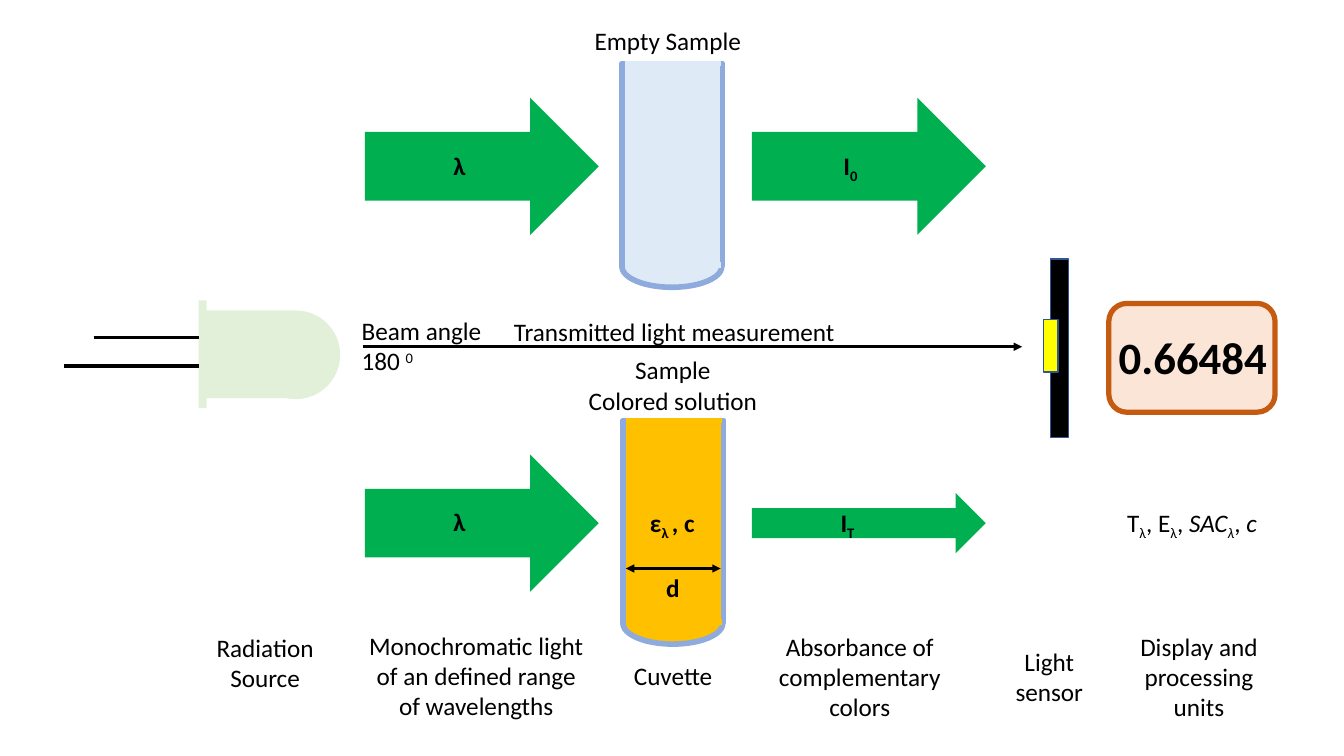
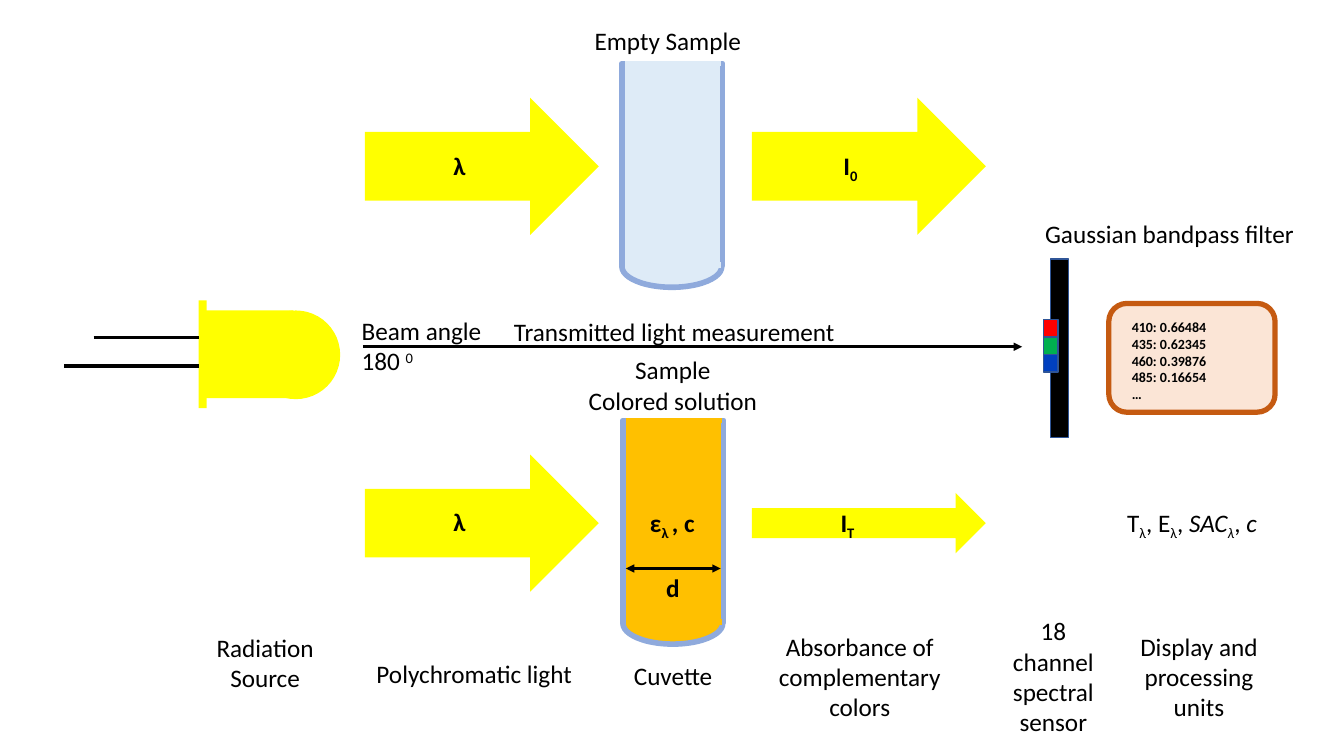
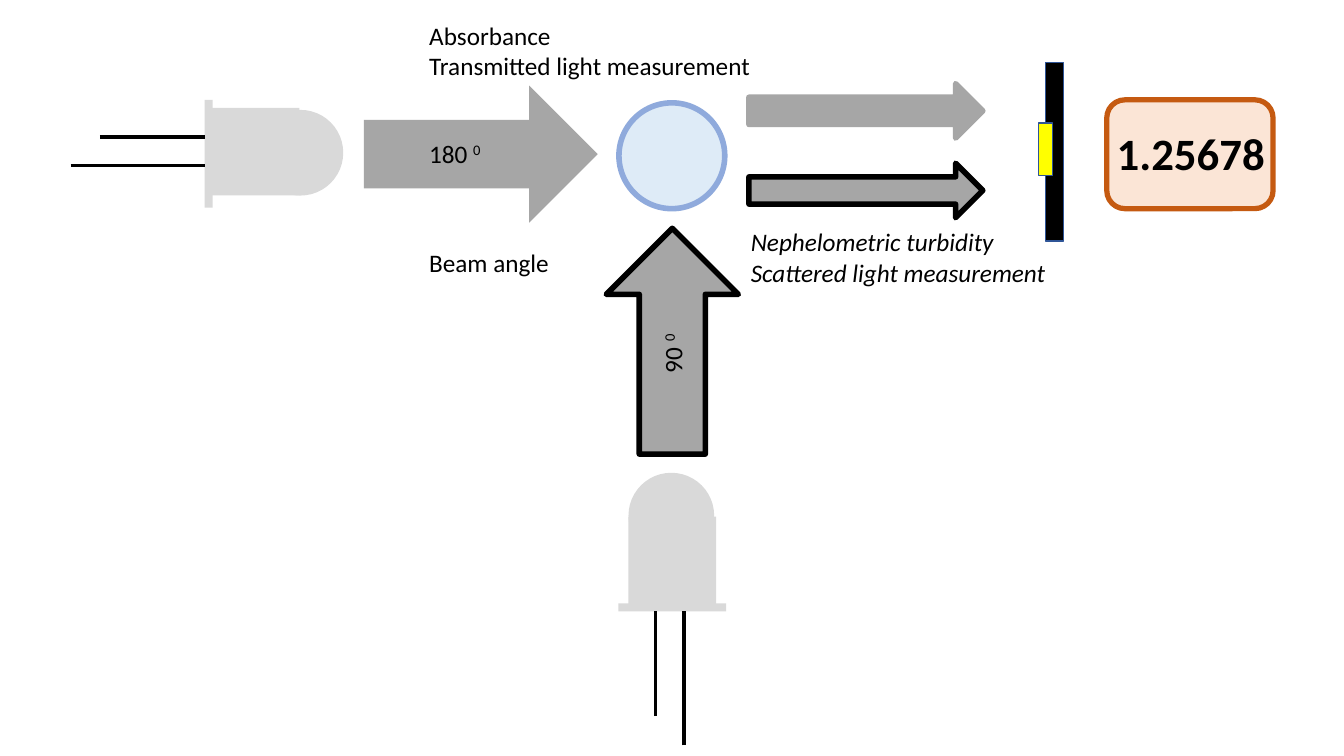
import copy

import lxml.etree
import pptx
import pptx.dml.color
import pptx.enum.shapes
import pptx.enum.text
import pptx.oxml.ns
import pptx.util

# Grid: square cells, ten to the inch; every length below counts columns or rows
CELL = pptx.util.Inches(0.1)
COLUMNS, ROWS = 400 / 3, 75

# Shared style
FONT = "Calibri"
BLACK, YELLOW, GREEN, GREY = "000000", "FFFF00", "00B050", "A6A6A6"
GLASS, EMPTY, SOLUTION = "8FAADC", "DEEBF7", "FFC000"
SENSOR_EDGE, SCREEN, SCREEN_EDGE = "2F5597", "FBE5D6", "C55A11"
THICK = 4

KIND = pptx.enum.shapes.MSO_SHAPE
ALIGN = pptx.enum.text.PP_ALIGN
SUB, SUPER = {"baseline": -25}, {"baseline": 30}
ITALIC = {"italic": True}


def grid(*lengths):
    return [round(length * CELL) for length in lengths]


def paint(target, color):
    """Give a fill or a font the colour of a hex string."""
    if hasattr(target, "solid"):
        target.solid()
        target = target.fore_color
    else:
        target = target.color
    target.rgb = pptx.dml.color.RGBColor.from_string(color)


def add_span(para, text, size=18, bold=False, italic=False, baseline=0):
    span = para.add_run()
    span.text = text
    font = span.font
    font.name, font.size = FONT, pptx.util.Pt(size)
    font.bold, font.italic = bold, italic
    paint(font, BLACK)
    if baseline:
        font._element.set("baseline", str(baseline * 1000))
    return span


def write(frame, paragraphs, align=ALIGN.LEFT, **style):
    """Each paragraph is a string or a list of (text, format) spans."""
    for index, content in enumerate(paragraphs):
        para = frame.paragraphs[0] if index == 0 else frame.add_paragraph()
        para.alignment = align
        spans = [(content, {})] if isinstance(content, str) else content
        for text, extra in spans:
            for number, piece in enumerate(text.split("\n")):
                if number:
                    para.add_line_break()
                    para._p[-1].append(copy.deepcopy(span._r.rPr))
                span = add_span(para, piece, **{**style, **extra})


class Diagram:
    def __init__(self):
        self.deck = pptx.Presentation()
        self.deck.slide_width, self.deck.slide_height = grid(COLUMNS, ROWS)

    def new_page(self):
        self.page = self.deck.slides.add_slide(self.deck.slide_layouts[6])

    def group(self):
        return self.page.shapes.add_group_shape().shapes

    # Basic elements
    def shape(self, kind, at, fill, edge=None, width=THICK, turn=0, into=None):
        box = (into or self.page.shapes).add_shape(kind, *grid(*at))
        box.shadow.inherit = False
        box.rotation = turn
        paint(box.fill, fill)
        if edge:
            paint(box.line.fill, edge)
            box.line.width = pptx.util.Pt(width)
        else:
            box.line.fill.background()

    def line(self, start, end, color=BLACK, width=THICK, heads=(), into=None):
        line = (into or self.page.shapes).add_connector(
            pptx.enum.shapes.MSO_CONNECTOR.STRAIGHT, *grid(*start, *end))
        paint(line.line.fill, color)
        line.line.width = pptx.util.Pt(width)
        properties = line._element.spPr
        name = pptx.oxml.ns.qn
        for head in heads:
            lxml.etree.SubElement(properties.find(name("a:ln")), name(head), type="triangle")
        lxml.etree.SubElement(properties, name("a:effectLst"))

    def text(self, at, *paragraphs, wrap=True, turn=0, into=None, **style):
        box = (into or self.page.shapes).add_textbox(*grid(*at))
        box.rotation = turn
        frame = box.text_frame
        frame.word_wrap = wrap
        frame.auto_size = pptx.enum.text.MSO_AUTO_SIZE.SHAPE_TO_FIT_TEXT
        write(frame, paragraphs, **style)

    def caption(self, at, *paragraphs):
        self.text(at, *paragraphs, align=ALIGN.CENTER)

    def arrow(self, at, fill, edge=None, turn=0):
        self.shape(KIND.RIGHT_ARROW, at, fill, edge, turn=turn)

    # Parts of the instrument
    def lamp(self, x, y, color, dome=8.8, body_shift=1, up=False):
        """Lamp whose flange starts at x, y (lower left if it points up)."""
        parts = self.group()

        def point(along, across):
            return (x + across, y - along) if up else (x + along, y + across)

        def part(kind, along, across, width, height):
            middle_x, middle_y = point(along + width / 2, across + height / 2)
            at = (middle_x - width / 2, middle_y - height / 2, width, height)
            self.shape(kind, at, color, turn=270 if up else 0, into=parts)

        part(KIND.FLOWCHART_CONNECTOR, 5.25, 1, dome, dome)
        part(KIND.RECTANGLE, 0.6, body_shift, 8.8, 8.7)
        part(KIND.RECTANGLE, 0, 0, 0.8, 10.7)
        for length, across in ((10.4, 3.7), (13.3, 6.5)):
            self.line(point(-length, across), point(0, across), width=2.5, into=parts)

    def cuvette(self, x, y, color):
        parts = self.group()
        self.shape(KIND.FLOWCHART_CONNECTOR, (x, y + 18.1, 9.9, 4.1), color, GLASS, into=parts)
        self.shape(KIND.RECTANGLE, (x, y, 10, 20), color, GLASS, into=parts)
        for edge in (y + 20, y):
            self.line((x + 0.35, edge), (x + 9.8, edge), color, into=parts)
        return parts

    def sensor(self, x, y, *colors):
        parts = self.group()
        self.shape(KIND.RECTANGLE, (x, y, 1.8, 17.7), BLACK, SENSOR_EDGE, 1, into=parts)
        height = 5.2 / len(colors)
        for index, color in enumerate(colors):
            at = (x - 0.65, y + 6 + index * height, 1.4, height)
            self.shape(KIND.RECTANGLE, at, color, SENSOR_EDGE, 1, into=parts)

    def display(self, x, y, readings, size=32, inset=(0, 2.1)):
        parts = self.group()
        self.shape(KIND.ROUNDED_RECTANGLE, (x, y, 16.5, 10.8), SCREEN, SCREEN_EDGE, 3.75,
                   into=parts)
        at = (x + inset[0], y + inset[1], 18.4, 10.8 - 2 * inset[1])
        self.text(at, *readings, size=size, bold=True, into=parts)


def transmission_page(diagram, beam, lamp):
    """The parts that both transmitted light slides have."""
    diagram.new_page()

    # Beams before and after each cuvette
    for at in ((36.2, 45.1, 23.2, 13.6), (74.6, 48.9, 23.2, 6),
               (36.2, 9.7, 23.2, 13.6), (74.6, 9.7, 23.2, 13.6)):
        diagram.arrow(at, beam)
    for y in (14.4, 49.7):
        diagram.text((44, y, 3.2, 4), "λ", wrap=False, bold=True)
    diagram.text((82.7, 14.4, 3.6, 4), [("I", {}), ("0", SUB)], bold=True)
    diagram.text((82.4, 49.8, 4.2, 4), [("I", {}), ("T", SUB)], bold=True)

    # Lamp and cuvettes
    diagram.lamp(19.7, 29.8, lamp)
    sample = diagram.cuvette(61.8, 41.7, SOLUTION)
    diagram.text((65.1, 56.3, 3.4, 4), "d", bold=True, into=sample)
    diagram.line((62.1, 56.4), (71.5, 56.4), width=1.5,
                 heads=("a:headEnd", "a:tailEnd"), into=sample)
    diagram.text((63.5, 49.8, 7.2, 4), [("ε", {}), ("λ ", SUB), (", c", {})],
                 bold=True, into=sample)
    diagram.cuvette(61.7, 6.3, EMPTY)

    # Light path
    diagram.line((36, 34.4), (101.4, 34.4), width=1.75, heads=("a:tailEnd",))
    diagram.text((34.9, 30.8, 14, 7.1), "Beam angle", [("180 ", {}), ("0", SUPER)], wrap=False)
    diagram.text((50, 30.9, 35.6, 4), "Transmitted light measurement", wrap=False)

    # Captions
    diagram.text((58, 2, 18.9, 4), "Empty Sample")
    diagram.caption((57.3, 34.7, 18.9, 7.1), "Sample", "Colored solution")
    diagram.caption((20.4, 62.2, 11.8, 7.1), "Radiation", "Source")
    diagram.text((61.9, 65, 11.3, 4), "Cuvette")
    diagram.caption((75.8, 62.1, 19, 10.1), "Absorbance of\ncomplementary", "colors")
    diagram.caption((111.3, 62.1, 15.3, 10.1), "Display and processing\nunits")
    diagram.caption((110.6, 49.8, 15.3, 4),
                    [("T", {}), ("λ", SUB), (", E", {}), ("λ", SUB), (", ", {}),
                     ("SAC", ITALIC), ("λ", {**SUB, **ITALIC}), (", ", {}), ("c", ITALIC)])


def monochromatic_page(diagram):
    transmission_page(diagram, GREEN, "E2F0D9")
    diagram.sensor(104.2, 25.7, YELLOW)
    diagram.display(110, 30.1, ["0.66484"])
    diagram.caption((35.1, 62, 24.3, 10.1),
                    "Monochromatic light of an defined range of wavelengths")
    diagram.caption((98.2, 63.6, 11.8, 7.1), "Light\nsensor")


def polychromatic_page(diagram):
    transmission_page(diagram, YELLOW, YELLOW)
    diagram.sensor(104.2, 25.7, "FF0000", GREEN, "0040C0")
    diagram.display(110, 30.1,
                    ["410: 0.66484", "435: 0.62345", "460: 0.39876", "485: 0.16654\n…"],
                    size=10, inset=(1.3, 1))
    diagram.caption((34.9, 64.8, 24.3, 4), "Polychromatic light")
    diagram.caption((98.6, 60.6, 11.8, 13.1), "18 channel", "spectral\nsensor")
    diagram.text((102.7, 21.2, 27, 4), "Gaussian bandpass filter", wrap=False)


def scattering_page(diagram):
    diagram.new_page()

    # Cuvette from above, lamps at both angles
    diagram.shape(KIND.FLOWCHART_CONNECTOR, (61.4, 10.2, 10.5, 10.5), EMPTY, GLASS)
    diagram.lamp(20.3, 9.9, "D9D9D9", dome=8.5, body_shift=0.8)
    diagram.lamp(61.35, 60.65, "D9D9D9", dome=8.5, up=True)

    # Beams: plain for transmitted, outlined for scattered light
    diagram.arrow((36.1, 8.5, 23.2, 13.6), GREY)
    diagram.arrow((55.5, 27.3, 22.4, 13.1), GREY, BLACK, turn=270)
    for y, edge in ((8.3, GREY), (16.2, BLACK)):
        diagram.arrow((74.3, y, 23.2, 5.4), GREY, edge)

    # Detection
    diagram.display(109.8, 9.9, ["1.25678"])
    diagram.sensor(103.7, 6.2, YELLOW)

    # Labels
    diagram.text((41.6, 13.2, 7.3, 4), [("180 ", {}), ("0", SUPER)], wrap=False)
    diagram.text((63.7, 33, 6, 4), [("90 ", {}), ("0", SUPER)], wrap=False, turn=270)
    diagram.text((41.6, 24, 14, 4), "Beam angle", wrap=False)
    diagram.text((41.6, 1.5, 34.2, 7.1), "Absorbance", "Transmitted light measurement",
                 wrap=False)
    diagram.text((73.5, 22, 31.6, 7.1), "Nephelometric turbidity",
                 "Scattered light measurement", wrap=False, italic=True)


def main():
    diagram = Diagram()
    monochromatic_page(diagram)
    polychromatic_page(diagram)
    scattering_page(diagram)
    diagram.deck.save("out.pptx")


if __name__ == "__main__":
    main()
